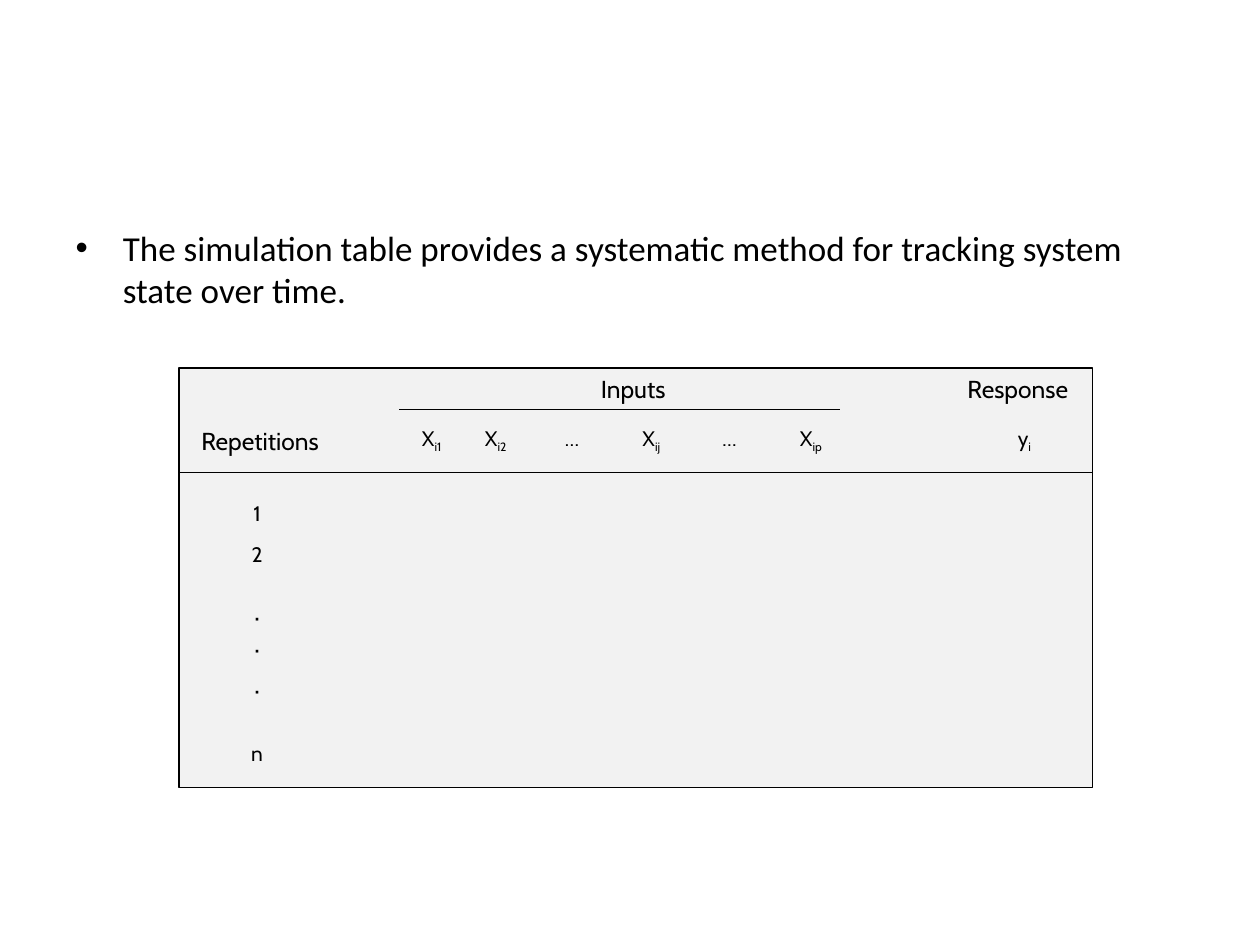
from lxml.etree import SubElement
from pptx import Presentation
from pptx.dml.color import RGBColor
from pptx.enum.shapes import MSO_CONNECTOR, MSO_SHAPE
from pptx.enum.text import MSO_AUTO_SIZE as AutoSize, PP_ALIGN as Align
from pptx.oxml.ns import qn
from pptx.util import Inches, Pt

COLORS = {"ink": "000000", "panel": "F2F2F2"}
STATEMENT = ("The simulation table provides a systematic method for "
             "tracking system state over time.")

# Headings: text, left, top, width
HEADINGS = [
    ("Inputs", 4.67, 2.92, 0.75),
    ("Response", 7.58, 2.92, 1.08),
    ("Repetitions", 1.5, 3.33, 1.17),
]
# Variables: symbol, subscript, left, alignment
VARIABLES = [
    ("X", "i1", 3.25, Align.LEFT),
    ("X", "i2", 3.75, Align.LEFT),
    ("…", "", 4.33, Align.CENTER),
    ("X", "ij", 5, Align.LEFT),
    ("…", "", 5.58, Align.CENTER),
    ("X", "ip", 6.25, Align.LEFT),
    ("y", "i", 7.92, Align.CENTER),
]
# Repetitions: label, top
REPETITIONS = [("1", 3.92), ("2", 4.25), ("·", 4.75),
               ("·", 5), ("·", 5.33), ("n", 5.83)]

PANEL_LEFT, PANEL_TOP, PANEL_WIDTH, PANEL_HEIGHT = 1.42, 2.92, 7.25, 3.33
PANEL_RIGHT = PANEL_LEFT + PANEL_WIDTH
# Rules: left, right, height on the slide
RULES = [(PANEL_LEFT, PANEL_RIGHT, 3.75), (3.17, 6.67, 3.25)]
VARIABLE_TOP, REPETITION_LEFT, CELL_WIDTH = 3.33, 1.83, 0.42


def color(name):
    return RGBColor.from_string(COLORS[name])


def format_run(run, size, font_name):
    run.font.size = Pt(size)
    run.font.name = font_name
    run.font.color.rgb = color("ink")


def add_label(slide, text, left, top, width, size=12,
              align=Align.CENTER, subscript=""):
    height = 0.35 if size == 14 else 0.3
    label = slide.shapes.add_textbox(
        Inches(left), Inches(top), Inches(width), Inches(height))
    frame = label.text_frame
    frame.text = text
    frame.word_wrap = True
    frame.auto_size = AutoSize.SHAPE_TO_FIT_TEXT
    paragraph = frame.paragraphs[0]
    paragraph.alignment = align
    if subscript:
        lowered = paragraph.add_run()
        lowered.text = subscript
        lowered.font._element.set("baseline", "-25000")
    for run in paragraph.runs:
        format_run(run, size, "Cabin")


def add_rule(slide, left, right, y):
    rule = slide.shapes.add_connector(
        MSO_CONNECTOR.STRAIGHT, Inches(left), Inches(y), Inches(right), Inches(y))
    rule.line.color.rgb = color("ink")
    rule.line.width = Pt(0.75)
    SubElement(rule._element.spPr, qn("a:effectLst"))


def add_statement(slide):
    body = slide.placeholders[1]
    body.left, body.top = Inches(0.5), Inches(1.75)
    body.width, body.height = Inches(9), Inches(4.95)
    body.text_frame.text = STATEMENT
    body.text_frame.auto_size = AutoSize.NONE
    format_run(body.text_frame.paragraphs[0].runs[0], 20, "Calibri")


def add_panel(slide):
    panel = slide.shapes.add_shape(
        MSO_SHAPE.RECTANGLE, Inches(PANEL_LEFT), Inches(PANEL_TOP),
        Inches(PANEL_WIDTH), Inches(PANEL_HEIGHT))
    panel.shadow.inherit = False
    panel.fill.solid()
    panel.fill.fore_color.rgb = color("panel")
    panel.line.color.rgb = color("ink")
    panel.line.width = Pt(0.75)


def main():
    deck = Presentation()
    deck.slide_width, deck.slide_height = Inches(10), Inches(7.5)
    slide = deck.slides.add_slide(deck.slide_layouts[1])
    title = slide.shapes.title._element
    title.getparent().remove(title)

    add_statement(slide)
    add_panel(slide)
    for text, left, top, width in HEADINGS:
        add_label(slide, text, left, top, width, size=14, align=Align.LEFT)
    for symbol, subscript, left, align in VARIABLES:
        add_label(slide, symbol, left, VARIABLE_TOP, CELL_WIDTH,
                  align=align, subscript=subscript)
    for left, right, y in RULES:
        add_rule(slide, left, right, y)
    for text, top in REPETITIONS:
        add_label(slide, text, REPETITION_LEFT, top, CELL_WIDTH)

    deck.save("out.pptx")


if __name__ == "__main__":
    main()
